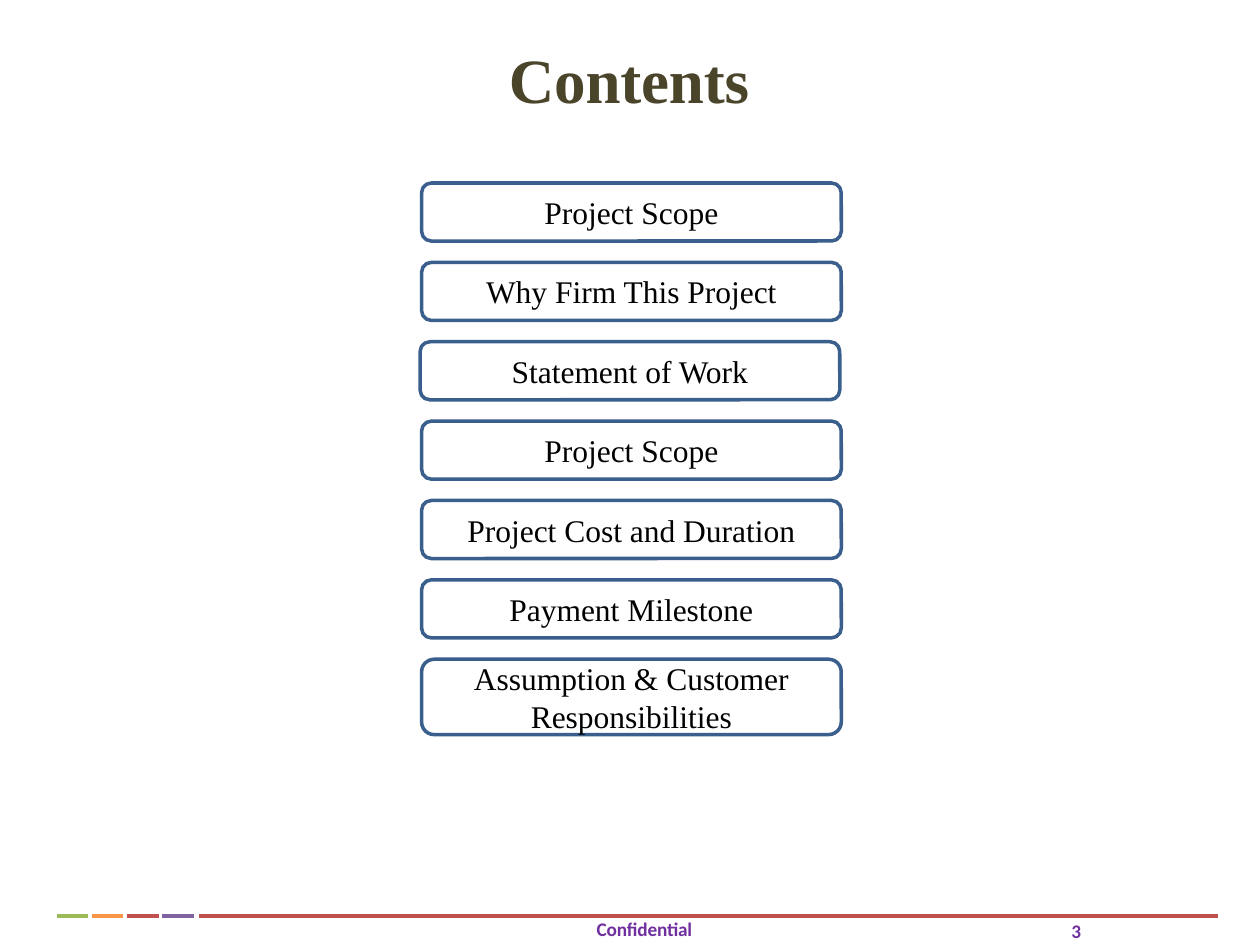
from lxml import etree
from pptx import Presentation
from pptx.dml.color import RGBColor
from pptx.enum.shapes import MSO_CONNECTOR, MSO_SHAPE
from pptx.enum.text import MSO_ANCHOR, PP_ALIGN
from pptx.oxml.ns import qn
from pptx.util import Cm, Pt

STRAIGHT = MSO_CONNECTOR.STRAIGHT
ROUNDED = MSO_SHAPE.ROUNDED_RECTANGLE
MIDDLE = MSO_ANCHOR.MIDDLE
CENTER = PP_ALIGN.CENTER

COLORS = {
    "heading": "4A452A",
    "footer": "7030A0",
    "outline": "3A5F8C",
    "paper": "FFFFFF",
    "ink": "000000",
    "green": "9BBB59",
    "orange": "F69646",
    "red": "C0504D",
    "purple": "8064A2",
}
SERIF = "Times New Roman"
SANS = "Calibri"


class ContentsSlide:
    """Draws the elements of the contents slide in one shared style."""

    def __init__(self, slide):
        self.slide = slide
        self.stroke = Pt(2)

    def color(self, name):
        return RGBColor.from_string(COLORS[name])

    def style(self, paragraph, font, size, color, bold=False, tracking=0):
        for run in paragraph.runs:
            run.font.name = font
            run.font.size = Pt(size)
            run.font.bold = bold
            run.font.color.rgb = self.color(color)
            if tracking:
                run.font._element.set("spc", str(tracking))

    def rule(self, left, width, color):
        y = Cm(18.47)
        line = self.slide.shapes.add_connector(
            STRAIGHT, Cm(left), y, Cm(left + width), y)
        line.line.color.rgb = self.color(color)
        line.line.width = self.stroke
        etree.SubElement(line._element.spPr, qn("a:effectLst"))

    def label(self, text, left, top, width, height, font, size, color,
              tracking=0, before=None, spacing=None):
        frame = self.slide.shapes.add_textbox(
            Cm(left), Cm(top), Cm(width), Cm(height)).text_frame
        frame.word_wrap = True
        frame.margin_left = frame.margin_right = 0
        frame.margin_top = frame.margin_bottom = 0
        frame.text = text
        paragraph = frame.paragraphs[0]
        paragraph.space_before = before
        paragraph.line_spacing = spacing
        self.style(paragraph, font, size, color, True, tracking)

    def topic(self, text, left, top, height):
        box = self.slide.shapes.add_shape(
            ROUNDED, Cm(left), Cm(top), Cm(8.46), Cm(height))
        box.shadow.inherit = False
        box.fill.solid()
        box.fill.fore_color.rgb = self.color("paper")
        box.line.color.rgb = self.color("outline")
        box.line.width = self.stroke
        frame = box.text_frame
        frame.word_wrap = True
        frame.vertical_anchor = MIDDLE
        frame.text = text
        paragraph = frame.paragraphs[0]
        paragraph.alignment = CENTER
        self.style(paragraph, SERIF, 18, "ink")


def main():
    deck = Presentation()
    deck.slide_width, deck.slide_height = Cm(25.4), Cm(19.05)
    contents = ContentsSlide(deck.slides.add_slide(deck.slide_layouts[6]))

    contents.rule(4.01, 20.55, "red")
    for index, accent in enumerate(("green", "orange", "red", "purple")):
        contents.rule(1.14 + index * 0.71, 0.64, accent)

    contents.label("Contents", 10.26, 0.81, 4.93, 1.6, SERIF, 36, "heading",
                   tracking=-10, before=Pt(1))
    contents.label("Confidential", 12.03, 18.56, 2.03, 0.46, SANS, 11,
                   "footer", tracking=-10, spacing=Pt(11.4))
    contents.label("3", 21.6, 18.59, 0.31, 0.46, SANS, 11, "footer",
                   spacing=Pt(11.4))

    topics = (
        ("Project Scope", 8.5, 1.17),
        ("Why Firm This Project", 8.5, 1.17),
        ("Statement of Work", 8.47, 1.17),
        ("Project Scope", 8.5, 1.17),
        ("Project Cost and Duration", 8.5, 1.17),
        ("Payment Milestone", 8.5, 1.17),
        ("Assumption & Customer Responsibilities", 8.5, 1.52),
    )
    for index, (text, left, height) in enumerate(topics):
        contents.topic(text, left, 3.69 + index * 1.6, height)

    deck.save("out.pptx")


if __name__ == "__main__":
    main()
